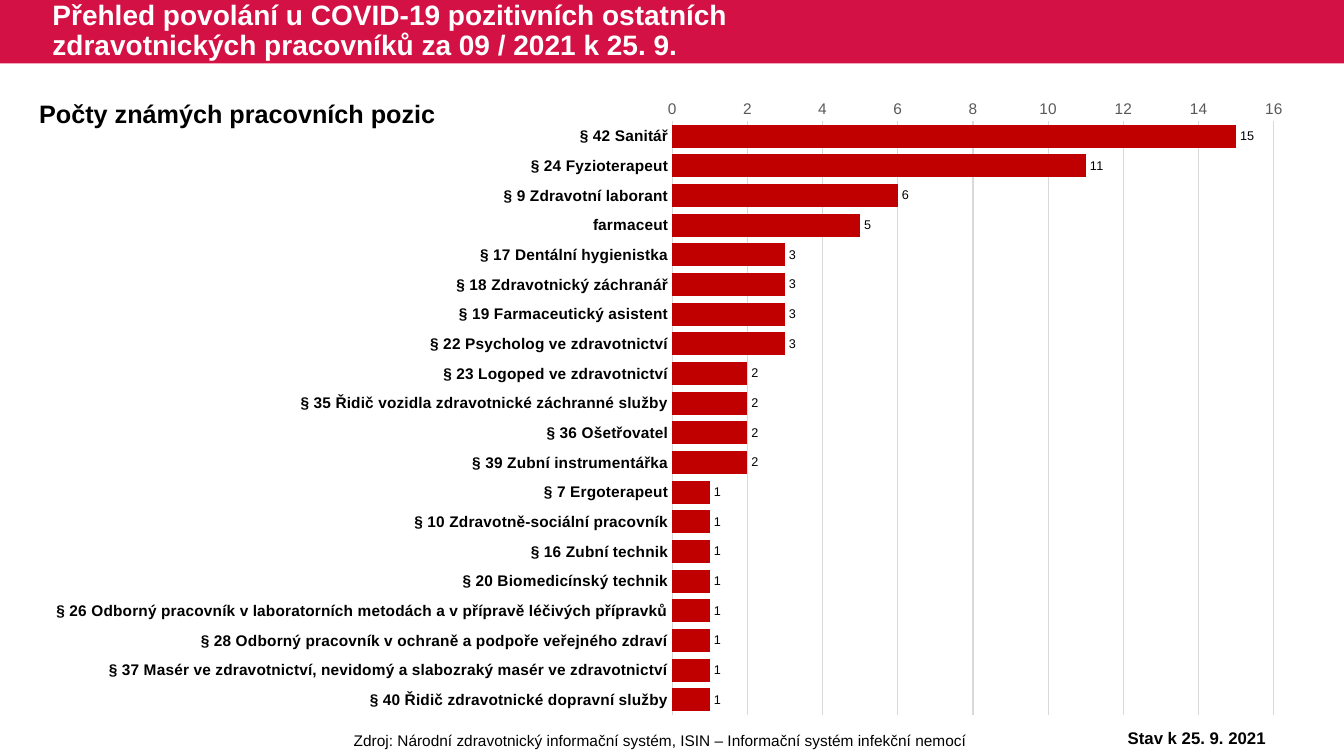
from lxml import etree
from pptx import Presentation
from pptx.chart.data import CategoryChartData
from pptx.dml.color import RGBColor
from pptx.enum.chart import XL_CHART_TYPE, XL_LABEL_POSITION, XL_TICK_MARK
from pptx.enum.shapes import MSO_SHAPE
from pptx.enum.text import MSO_ANCHOR, MSO_AUTO_SIZE, PP_ALIGN
from pptx.oxml.ns import qn
from pptx.util import Inches, Pt

BAR = XL_CHART_TYPE.BAR_CLUSTERED
OUT_END = XL_LABEL_POSITION.OUTSIDE_END
NO_TICK = XL_TICK_MARK.NONE
LEFT, CENTER = PP_ALIGN.LEFT, PP_ALIGN.CENTER

# Content
TITLE = ("Přehled povolání u COVID-19 pozitivních ostatních "
         "zdravotnických pracovníků za 09 / 2021 k 25. 9.")
JOBS = [
    ("§ 42 Sanitář", 15),
    ("§ 24 Fyzioterapeut", 11),
    ("§ 9 Zdravotní laborant", 6),
    ("farmaceut", 5),
    ("§ 17 Dentální hygienistka", 3),
    ("§ 18 Zdravotnický záchranář", 3),
    ("§ 19 Farmaceutický asistent", 3),
    ("§ 22 Psycholog ve zdravotnictví", 3),
    ("§ 23 Logoped ve zdravotnictví", 2),
    ("§ 35 Řidič vozidla zdravotnické záchranné služby", 2),
    ("§ 36 Ošetřovatel", 2),
    ("§ 39 Zubní instrumentářka", 2),
    ("§ 7 Ergoterapeut", 1),
    ("§ 10 Zdravotně-sociální pracovník", 1),
    ("§ 16 Zubní technik", 1),
    ("§ 20 Biomedicínský technik", 1),
    ("§ 26 Odborný pracovník v laboratorních metodách a v přípravě léčivých přípravků", 1),
    ("§ 28 Odborný pracovník v ochraně a podpoře veřejného zdraví", 1),
    ("§ 37 Masér ve zdravotnictví, nevidomý a slabozraký masér ve zdravotnictví", 1),
    ("§ 40 Řidič zdravotnické dopravní služby", 1),
]
# text, box, size, bold, alignment, wrap
NOTES = [
    ("Zdroj: Národní zdravotnický informační systém, ISIN – Informační systém infekční nemocí",
     (2.36, 7.2, 8.38, 0.29), 11, False, CENTER, True),
    ("Počty známých pracovních pozic", (0.29, 0.93, 4.16, 0.4), 18, True, LEFT, False),
    ("Stav k 25. 9. 2021", (10.77, 7.17, 2.2, 0.3), 12, True, CENTER, True),
]
PLOT = {"layoutTarget": "inner", "xMode": "edge", "yMode": "edge",
        "x": 0.511, "y": 0.063, "w": 0.46, "h": 0.917}
CRIMSON, RED, BLACK, WHITE = "D31145", "C00000", "000000", "FFFFFF"
GRAY, PALE = "595959", "D9D9D9"


def color(fmt, code):
    fmt.rgb = RGBColor.from_string(code)


def paint(fill, code):
    fill.solid()
    color(fill.fore_color, code)


def style(font, size, code=BLACK, bold=False):
    for key, val in {"name": "Arial", "size": Pt(size), "bold": bold}.items():
        setattr(font, key, val)
    color(font.color, code)


def rule(line):
    color(line.color, PALE)
    line.width = Pt(0.75)


def box(dims):
    return [Inches(n) for n in dims]


deck = Presentation()
deck.slide_width, deck.slide_height = box((13.33, 7.5))
slide = deck.slides.add_slide(deck.slide_layouts[5])
shapes = slide.shapes

# Title on its band
band = shapes.add_shape(MSO_SHAPE.RECTANGLE, *box((0, 0, 13.33, 0.63)))
band.shadow.inherit = False
paint(band.fill, CRIMSON)
band.line.fill.background()
title = shapes.title
band.element.addnext(title.element)
title.left, title.top, title.width, title.height = box((0.42, 0, 8.26, 0.63))
frame = title.text_frame
frame.text = TITLE
frame.word_wrap = True
frame.auto_size = MSO_AUTO_SIZE.NONE
frame.vertical_anchor = MSO_ANCHOR.MIDDLE
para = frame.paragraphs[0]
para.alignment = LEFT
para.line_spacing = 0.9
style(para.runs[0].font, 20, WHITE, True)

# Bar chart
data = CategoryChartData()
data.categories = [job for job, _ in JOBS]
data.add_series("Series 1", [count for _, count in JOBS])
chart = shapes.add_chart(BAR, *box((0.04, 0.8, 12.97, 6.42)), data).chart
chart.has_legend = chart.has_title = False
style(chart.font, 10)

plot = chart.plots[0]
plot.gap_width, plot.overlap = 30, 100
plot.vary_by_categories = False
bars = plot.series[0]
paint(bars.format.fill, RED)
labels = bars.data_labels
labels.show_value = True
labels.position = OUT_END
style(labels.font, 9)

# Axes
cat, val = chart.category_axis, chart.value_axis
for axis, code, bold in ((cat, BLACK, True), (val, GRAY, False)):
    axis.major_tick_mark = axis.minor_tick_mark = NO_TICK
    style(axis.tick_labels.font, 11, code, bold)
cat.reverse_order = True
rule(cat.format.line)
val.minimum_scale, val.maximum_scale, val.major_unit = 0, 16, 2
val.format.line.fill.background()
rule(val.major_gridlines.format.line)

# Fixed plot area
area = chart.element.find(".//" + qn("c:plotArea"))
for old in area.findall(qn("c:layout")):
    area.remove(old)
layout = etree.Element(qn("c:layout"))
area.insert(0, layout)
manual = etree.SubElement(layout, qn("c:manualLayout"))
for key, val in PLOT.items():
    etree.SubElement(manual, qn("c:" + key)).set("val", str(val))

# Heading, source and date
for text, dims, size, bold, align, wrap in NOTES:
    frame = shapes.add_textbox(*box(dims)).text_frame
    frame.word_wrap = wrap
    frame.auto_size = MSO_AUTO_SIZE.SHAPE_TO_FIT_TEXT
    para = frame.paragraphs[0]
    para.text = text
    para.alignment = align
    style(para.runs[0].font, size, BLACK, bold)

deck.save("out.pptx")
